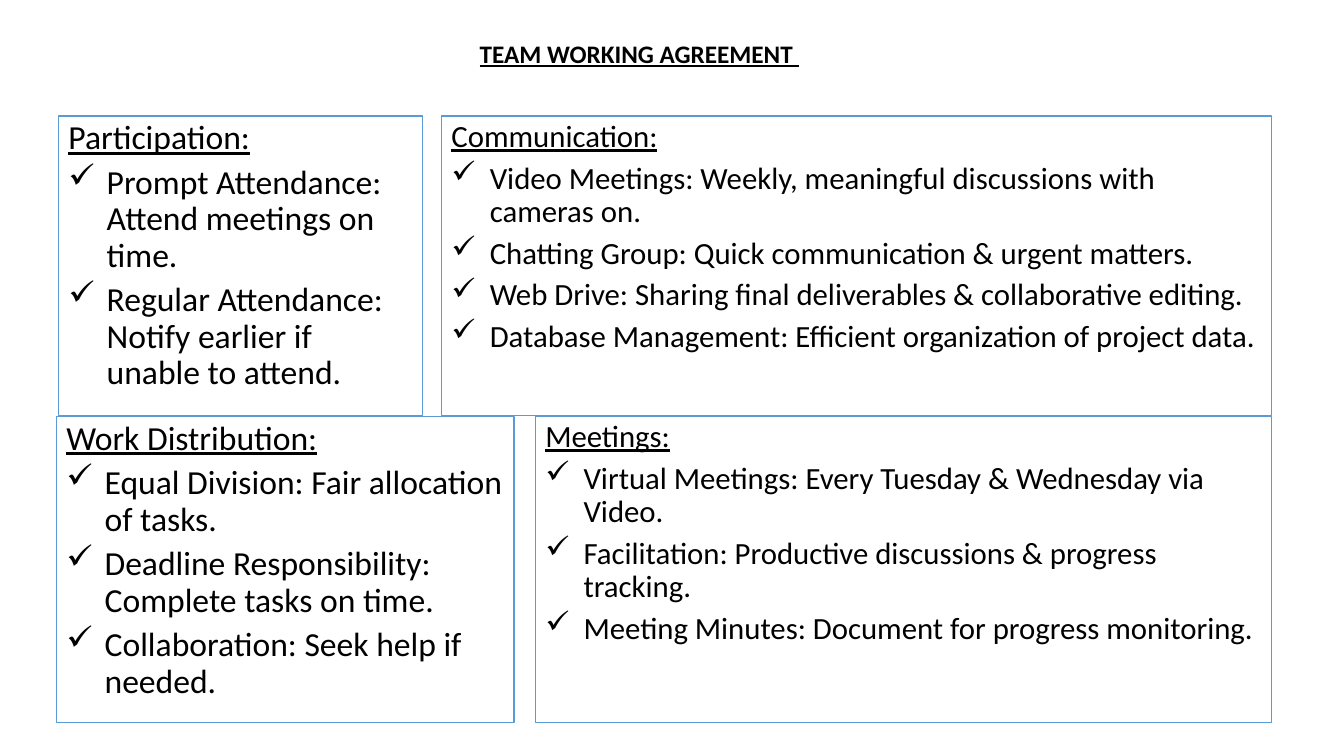
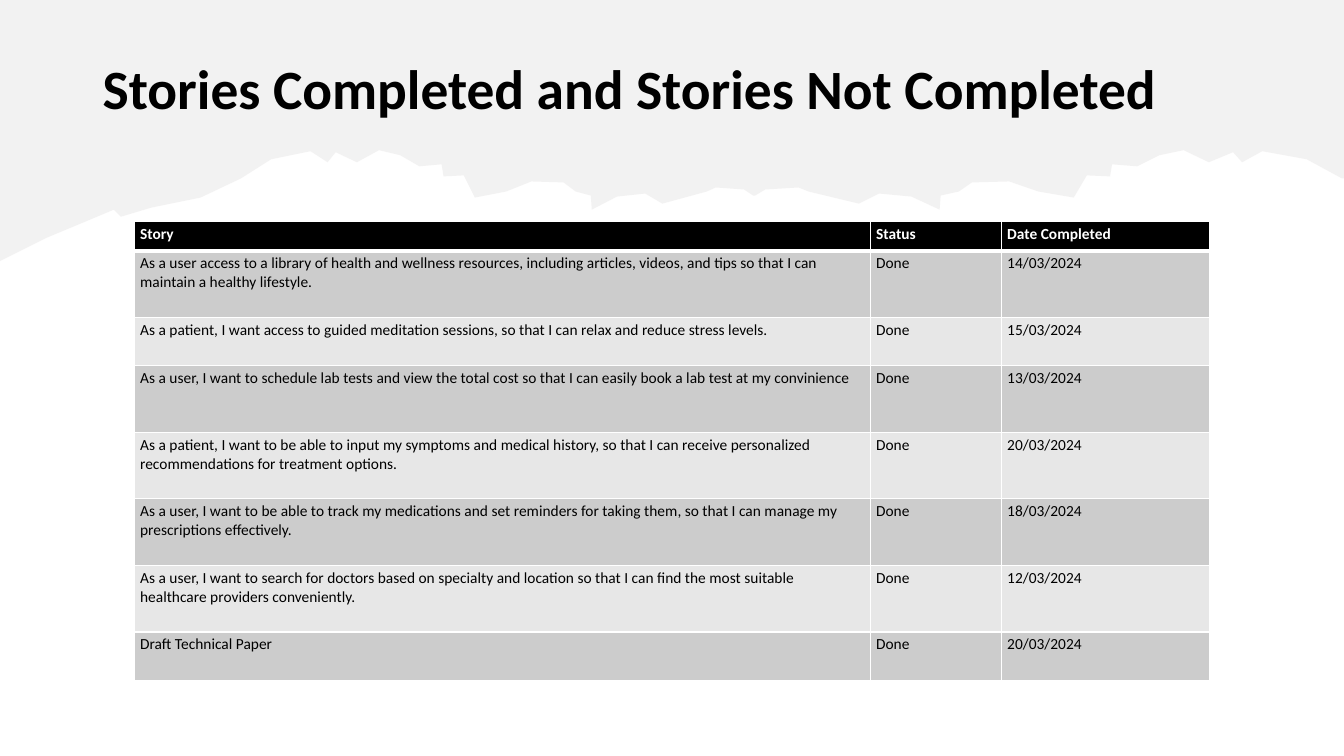
from dataclasses import dataclass

from lxml.etree import SubElement
from pptx import Presentation
from pptx.dml.color import RGBColor
from pptx.enum.shapes import MSO_SHAPE
from pptx.enum.text import MSO_ANCHOR, MSO_AUTO_SIZE, PP_ALIGN
from pptx.oxml import parse_xml
from pptx.oxml.ns import nsdecls, qn
from pptx.util import Emu, Pt

PX = 9144
PAGE_WIDTH, PAGE_HEIGHT = 1333, 750
FONT = "Calibri"
COLORS = {
    "text": "000000",
    "paper": "FFFFFF",
    "outline": "5B9BD5",
    "torn": "E7E6E6",
    "header": "000000",
    "odd": "CCCCCC",
    "even": "E7E7E7",
}


@dataclass(frozen=True)
class Box:
    left: int
    top: int
    width: int
    height: int

    def emu(self) -> list[Emu]:
        return [px(side) for side in (self.left, self.top, self.width, self.height)]


@dataclass(frozen=True)
class Panel:
    box: Box
    size: int
    heading: str
    items: tuple[str, ...]


@dataclass(frozen=True)
class Story:
    text: str
    date: str
    height: int = 66
    status: str = "Done"


PANELS = (
    Panel(Box(58, 115, 361, 297), 24, "Participation:", (
        "Prompt Attendance: Attend meetings on time.",
        "Regular Attendance: Notify earlier if unable to attend.",
    )),
    Panel(Box(438, 115, 823, 297), 22, "Communication:", (
        "Video Meetings: Weekly, meaningful discussions with cameras on.",
        "Chatting Group: Quick communication & urgent matters.",
        "Web Drive: Sharing final deliverables & collaborative editing.",
        "Database Management: Efficient organization of project data.",
    )),
    Panel(Box(56, 413, 454, 304), 24, "Work Distribution:", (
        "Equal Division: Fair allocation of tasks.",
        "Deadline Responsibility: Complete tasks on time.",
        "Collaboration: Seek help if needed.",
    )),
    Panel(Box(531, 413, 730, 304), 22, "Meetings:", (
        "Virtual Meetings: Every Tuesday & Wednesday via Video.",
        "Facilitation: Productive discussions & progress tracking.",
        "Meeting Minutes: Document for progress monitoring.",
    )),
)

HEADINGS = ("Story", "Status", "Date Completed")
COLUMN_WIDTHS = (730, 130, 207)
HEADER_HEIGHT = 29
STORIES = (
    Story("As a user access to a library of health and wellness resources, including articles, "
          "videos, and tips so that I can maintain a healthy lifestyle.", "14/03/2024"),
    Story("As a patient, I want access to guided meditation sessions, so that I can relax and "
          "reduce stress levels.", "15/03/2024", height=48),
    Story("As a user, I want to schedule lab tests and view the total cost so that I can easily "
          "book a lab test at my convinience", "13/03/2024"),
    Story("As a patient, I want to be able to input my symptoms and medical history, so that I "
          "can receive personalized recommendations for treatment options.", "20/03/2024"),
    Story("As a user, I want to be able to track my medications and set reminders for taking "
          "them, so that I can manage my prescriptions effectively.", "18/03/2024"),
    Story("As a user, I want to search for doctors based on specialty and location so that I can "
          "find the most suitable healthcare providers conveniently.", "12/03/2024"),
    Story("Draft Technical Paper", "20/03/2024", height=48),
)

SLOPE = ((0, 259), (46, 236), (82, 221), (113, 208), (120, 215), (150, 206), (199, 196))
RIDGE = (
    (239, 177), (269, 158), (308, 150), (325, 161), (333, 151), (354, 161), (376, 149),
    (397, 154), (416, 165), (438, 163), (440, 175), (460, 174), (471, 196), (502, 190),
    (527, 180), (559, 181), (571, 190), (586, 194), (587, 208), (612, 195), (640, 192),
    (657, 202), (701, 190), (710, 186), (738, 188), (747, 194),
)
RIDGE_CENTER = 748
RIDGE_STRETCH = 1.145


def px(length: int) -> Emu:
    return Emu(length * PX)


def color(name: str) -> RGBColor:
    return RGBColor.from_string(COLORS[name])


def style_runs(para, size: float, name: str = "text", bold: bool = False,
               underline: bool = False) -> None:
    for span in para.runs:
        span.font.name = FONT
        span.font.size = Pt(size)
        span.font.bold = bold
        span.font.underline = underline
        span.font.color.rgb = color(name)


def add_title(page, box: Box, text: str, size: float, underline: bool = False):
    frame = page.shapes.add_textbox(*box.emu()).text_frame
    frame.word_wrap = True
    frame.text = text
    style_runs(frame.paragraphs[0], size, bold=True, underline=underline)
    return frame


def add_check_mark(para) -> None:
    properties = para._p.get_or_add_pPr()
    properties.set("marL", str(px(38)))
    properties.set("indent", str(px(-38)))
    SubElement(properties, qn("a:buChar")).set("char", "✓")


def add_panel(page, panel: Panel) -> None:
    shape = page.shapes.add_shape(MSO_SHAPE.RECTANGLE, *panel.box.emu())
    shape.shadow.inherit = False
    shape.fill.solid()
    shape.fill.fore_color.rgb = color("paper")
    shape.line.color.rgb = color("outline")
    shape.line.width = Pt(1)
    frame = shape.text_frame
    frame.word_wrap = True
    frame.vertical_anchor = MSO_ANCHOR.TOP
    frame.text = "\n".join((panel.heading, *panel.items))
    for index, para in enumerate(frame.paragraphs):
        para.alignment = PP_ALIGN.LEFT
        para.line_spacing = 0.9
        para.space_after = Pt(6)
        if index:
            add_check_mark(para)
        style_runs(para, panel.size, underline=index == 0)


def torn_outline() -> list[tuple[int, int]]:
    mirrored = [(round(RIDGE_CENTER + (RIDGE_CENTER - x) * RIDGE_STRETCH), y)
                for x, y in reversed(RIDGE)]
    return [*SLOPE, *RIDGE, *mirrored, (PAGE_WIDTH, RIDGE[0][1]), (PAGE_WIDTH, 0), (0, 0)]


def add_torn_band(page) -> None:
    start, *rest = torn_outline()
    builder = page.shapes.build_freeform(*start, scale=PX)
    builder.add_line_segments(rest, close=True)
    band = builder.convert_to_shape()
    band.shadow.inherit = False
    band.fill.solid()
    band.fill.fore_color.rgb = color("torn")
    band.line.fill.background()
    tint = band._element.spPr.find(qn("a:solidFill"))[0]
    SubElement(tint, qn("a:alpha")).set("val", "50000")


def set_borders(cell, top: int, bottom: int) -> None:
    properties = cell._tc.get_or_add_tcPr()
    widths = {"lnL": 1, "lnR": 1, "lnT": top, "lnB": bottom}
    for index, (side, width) in enumerate(widths.items()):
        properties.insert(index, parse_xml(
            f'<a:{side} {nsdecls("a")} w="{Pt(width)}"><a:solidFill>'
            f'<a:srgbClr val="{COLORS["paper"]}"/></a:solidFill></a:{side}>'))


def fill_cell(cell, text: str, row: int) -> None:
    header = row == 0
    cell.fill.solid()
    cell.fill.fore_color.rgb = color("header" if header else "odd" if row % 2 else "even")
    cell.margin_left = cell.margin_right = px(6)
    cell.margin_top = cell.margin_bottom = px(3)
    cell.text_frame.text = text
    style_runs(cell.text_frame.paragraphs[0], 11, "paper" if header else "text", bold=header)
    set_borders(cell, top=3 if row == 1 else 1, bottom=3 if header else 1)


def add_story_table(page, left: int, top: int) -> None:
    heights = (HEADER_HEIGHT, *(story.height for story in STORIES))
    rows = (HEADINGS, *((story.text, story.status, story.date) for story in STORIES))
    box = Box(left, top, sum(COLUMN_WIDTHS), sum(heights))
    table = page.shapes.add_table(len(rows), len(HEADINGS), *box.emu()).table
    table.horz_banding = False
    for column, width in zip(table.columns, COLUMN_WIDTHS):
        column.width = px(width)
    for index, (height, texts) in enumerate(zip(heights, rows)):
        table.rows[index].height = px(height)
        for cell, text in zip(table.rows[index].cells, texts):
            fill_cell(cell, text, index)


def build_agreement(page) -> None:
    for panel in PANELS:
        add_panel(page, panel)
    frame = add_title(page, Box(238, 33, 792, 40), "TEAM WORKING AGREEMENT ", 18, underline=True)
    frame.auto_size = MSO_AUTO_SIZE.SHAPE_TO_FIT_TEXT
    frame.paragraphs[0].alignment = PP_ALIGN.CENTER


def build_stories(page) -> None:
    add_torn_band(page)
    frame = add_title(page, Box(92, 40, 1150, 102),
                      "Stories Completed and Stories Not Completed", 39.6)
    frame.vertical_anchor = MSO_ANCHOR.MIDDLE
    frame.paragraphs[0].line_spacing = 0.9
    add_story_table(page, 133, 220)


def main() -> None:
    deck = Presentation()
    deck.slide_width, deck.slide_height = px(PAGE_WIDTH), px(PAGE_HEIGHT)
    for build in (build_agreement, build_stories):
        build(deck.slides.add_slide(deck.slide_layouts[6]))
    deck.save("out.pptx")


if __name__ == "__main__":
    main()
